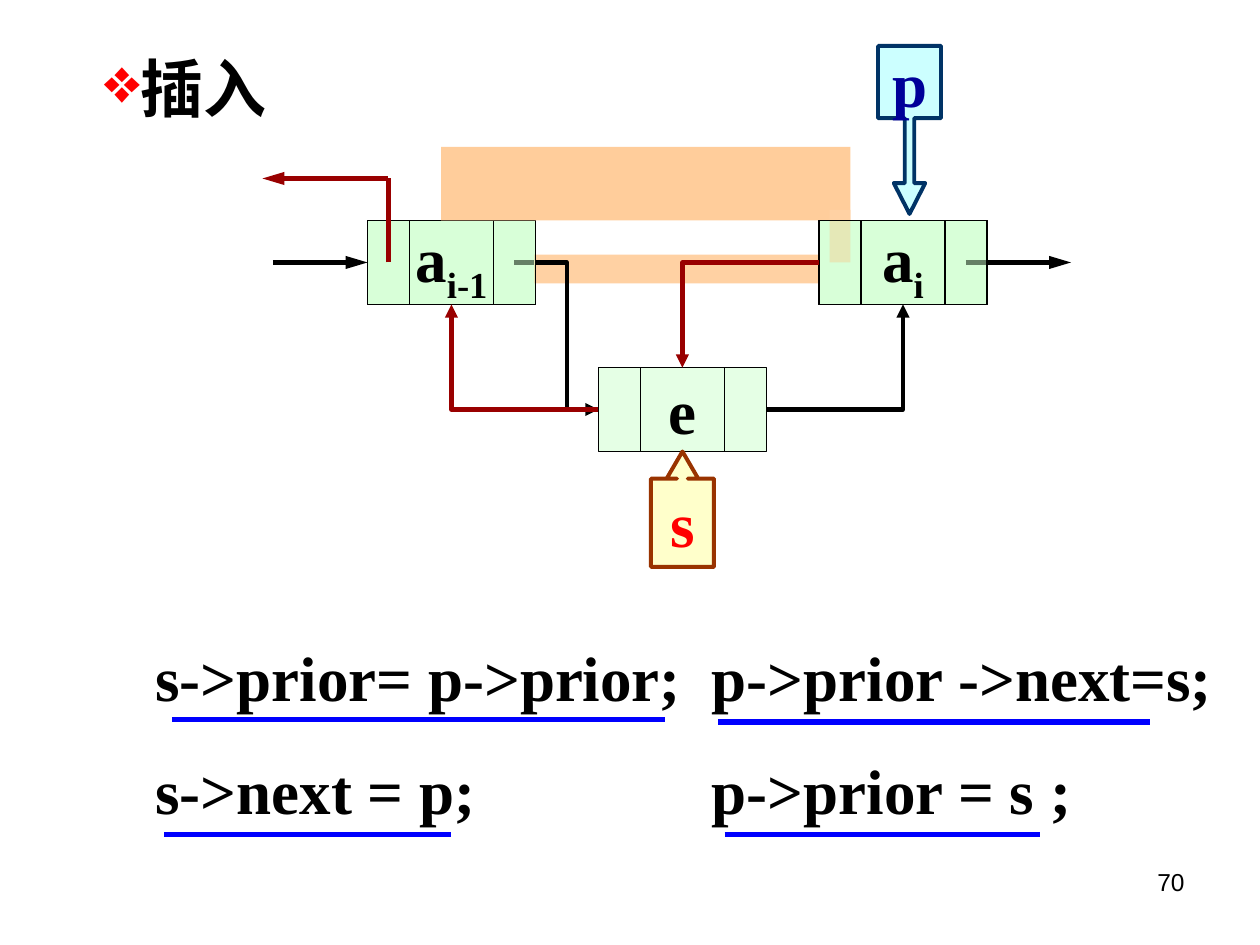
from lxml.etree import SubElement
from pptx import Presentation
from pptx.dml.color import RGBColor
from pptx.enum.shapes import MSO_CONNECTOR, MSO_SHAPE
from pptx.enum.text import MSO_ANCHOR, PP_ALIGN
from pptx.oxml.ns import qn
from pptx.util import Emu, Pt

BLACK = RGBColor(0x00, 0x00, 0x00)
RED = RGBColor(0xFF, 0x00, 0x00)
DARK_RED = RGBColor(0x99, 0x00, 0x00)
BLUE = RGBColor(0x00, 0x00, 0xFF)
DARK_BLUE = RGBColor(0x00, 0x00, 0x99)
NAVY = RGBColor(0x00, 0x33, 0x66)
BROWN = RGBColor(0x99, 0x33, 0x00)
GREEN = RGBColor(0xCC, 0xFF, 0xCC)
CYAN = RGBColor(0xCC, 0xFF, 0xFF)
YELLOW = RGBColor(0xFF, 0xFF, 0x99)
ORANGE = RGBColor(0xFF, 0xCD, 0x9B)
PALE_ORANGE = RGBColor(0xFF, 0xD1, 0xA3)

SERIF = "Times New Roman"
NODE_WIDTH, NODE_HEIGHT = 128, 64
DIVIDERS = (32, 96)


def px(length):
    return Emu(length * 9525)


def style(para, color=BLACK, size=36, name=SERIF, bold=True):
    font = para.font
    font.name, font.size, font.bold = name, Pt(size), bold
    font.color.rgb = color


def add_box(slide, left, top, width, height, fill, line=None, weight=0.75,
            half_clear=False, kind=MSO_SHAPE.RECTANGLE):
    box = slide.shapes.add_shape(kind, px(left), px(top), px(width), px(height))
    box.shadow.inherit = False
    box.fill.solid()
    box.fill.fore_color.rgb = fill
    if half_clear:
        color = box.fill._xPr.find(qn("a:solidFill"))[0]
        SubElement(color, qn("a:alpha"), val="50000")
    if line is None:
        box.line.fill.background()
    else:
        box.line.color.rgb = line
        box.line.width = Pt(weight)
    return box


def add_label(box, text, color=BLACK, subscript=""):
    frame = box.text_frame
    frame.word_wrap = False
    frame.vertical_anchor = MSO_ANCHOR.MIDDLE
    para = frame.paragraphs[0]
    para.alignment = PP_ALIGN.CENTER
    style(para, color)
    para.add_run().text = text
    if subscript:
        span = para.add_run()
        span.text = subscript
        span._r.get_or_add_rPr().set("baseline", "-25000")


def add_line(slide, start, end, color=BLACK, weight=2.5, head=None,
             kind=MSO_CONNECTOR.STRAIGHT):
    """Head is the arrowhead length: "med", "lg" or None."""
    line = slide.shapes.add_connector(kind, *map(px, start + end))
    line.line.color.rgb = color
    line.line.width = Pt(weight)
    if head:
        SubElement(line.line._get_or_add_ln(), qn("a:tailEnd"),
                   type="triangle", w="med", len=head)
    SubElement(line._element.spPr, qn("a:effectLst"))
    return line


def add_corner_arrow(slide, start, end, color):
    """Run across first, then up or down to the end."""
    arrow = add_line(slide, start, end, color, head="med", kind=MSO_CONNECTOR.ELBOW)
    arrow._element.spPr.find(qn("a:prstGeom")).set("prst", "bentConnector2")


def add_node_body(slide, left, top):
    return add_box(slide, left, top, NODE_WIDTH, NODE_HEIGHT, GREEN, BLACK,
                   half_clear=True)


def add_node(slide, left, top, text, subscript=""):
    add_label(add_node_body(slide, left, top), text, subscript=subscript)
    for offset in DIVIDERS:
        add_line(slide, (left + offset, top), (left + offset, top + NODE_HEIGHT),
                 weight=0.75)


def add_pointer(slide, left, top, height, kind, adjustments, text, color, fill,
                line, half_clear=False):
    pointer = add_box(slide, left, top, 48, height, fill, line, 2.25, half_clear, kind)
    for index, value in enumerate(adjustments):
        pointer.adjustments[index] = value
    add_label(pointer, text, color)


def draw_list(slide, left, top):
    """The doubly linked list, with node e going in before node a_i."""
    def at(x, y):
        return left + x, top + y

    previous, current, new = at(80, 136), at(424, 136), at(256, 248)
    add_node_body(slide, *previous)
    add_node_body(slide, *current)
    for start, end in ((8, 80), (192, 424), (536, 616)):
        add_line(slide, at(start, 168), at(end, 168), head="lg")

    add_node(slide, *new, "e")
    add_pointer(slide, *at(469, 3), 128, MSO_SHAPE.DOWN_ARROW_CALLOUT,
                (0.15, 0.25, 0.49, 0.43), "p", DARK_BLUE, CYAN, NAVY)
    add_pointer(slide, *at(296, 312), 88, MSO_SHAPE.UP_ARROW_CALLOUT,
                (0.17, 0.25, 0.43, 1.12), "s", RED, YELLOW, BROWN, half_clear=True)

    add_box(slide, *at(207, 162), 217, 22, PALE_ORANGE)
    add_node(slide, *previous, "a", "i-1")
    add_corner_arrow(slide, at(384, 280), at(488, 200), BLACK)
    add_line(slide, at(208, 168), at(256, 280), head="med", kind=MSO_CONNECTOR.ELBOW)
    add_box(slide, *at(136, 80), 312, 56, ORANGE)
    add_box(slide, *at(432, 128), 16, 40, PALE_ORANGE)
    add_node(slide, *current, "a", "i")
    add_corner_arrow(slide, at(424, 168), at(320, 248), DARK_RED)
    add_corner_arrow(slide, at(256, 280), at(144, 200), DARK_RED)
    add_line(slide, at(96, 168), at(96, 104), DARK_RED)
    add_line(slide, at(96, 104), at(0, 104), DARK_RED, head="lg")


def add_text_box(slide, left, top, width, height):
    box = slide.shapes.add_textbox(px(left), px(top), px(width), px(height))
    box.text_frame.word_wrap = False
    return box.text_frame


def draw_title(slide, left, top, width, height):
    para = add_text_box(slide, left, top, width, height).paragraphs[0]
    properties = para._p.get_or_add_pPr()
    color = SubElement(properties, qn("a:buClr"))
    SubElement(color, qn("a:srgbClr"), val=str(RED))
    SubElement(properties, qn("a:buChar"), char="❖")
    style(para)
    para.add_run().text = "插入"


def draw_code(slide, left, top, width, height):
    """Two columns of statements, each underlined."""
    frame = add_text_box(slide, left, top, width, height)
    rows = (("s->prior= p->prior;", "p->prior ->next=s;"),
            ("s->next = p;", "p->prior = s ;"))
    for index, row in enumerate(rows):
        para = frame.add_paragraph() if index else frame.paragraphs[0]
        tabs = SubElement(para._p.get_or_add_pPr(), qn("a:tabLst"))
        SubElement(tabs, qn("a:tab"), pos=str(px(424)), algn="l")
        para.line_spacing = 1.5
        style(para)
        para.add_run().text = "\t".join(row)
    for start, end, drop in ((22, 398, 95), (438, 767, 97),
                             (16, 235, 183), (443, 683, 183)):
        add_line(slide, (left + start, top + drop), (left + end, top + drop), BLUE, 3)


def draw_page_number(slide, left, top, width, height):
    para = add_text_box(slide, left, top, width, height).paragraphs[0]
    para.alignment = PP_ALIGN.RIGHT
    style(para, size=14, name="Arial", bold=False)
    para.add_run().text = "70"


def main():
    deck = Presentation()
    deck.slide_width, deck.slide_height = px(960), px(720)
    slide = deck.slides.add_slide(deck.slide_layouts[6])
    draw_page_number(slide, 688, 656, 224, 50)
    draw_list(slide, 200, 32)
    draw_code(slide, 109, 453, 826, 182)
    draw_title(slide, 70, 33, 158, 67)
    deck.save("out.pptx")


if __name__ == "__main__":
    main()
